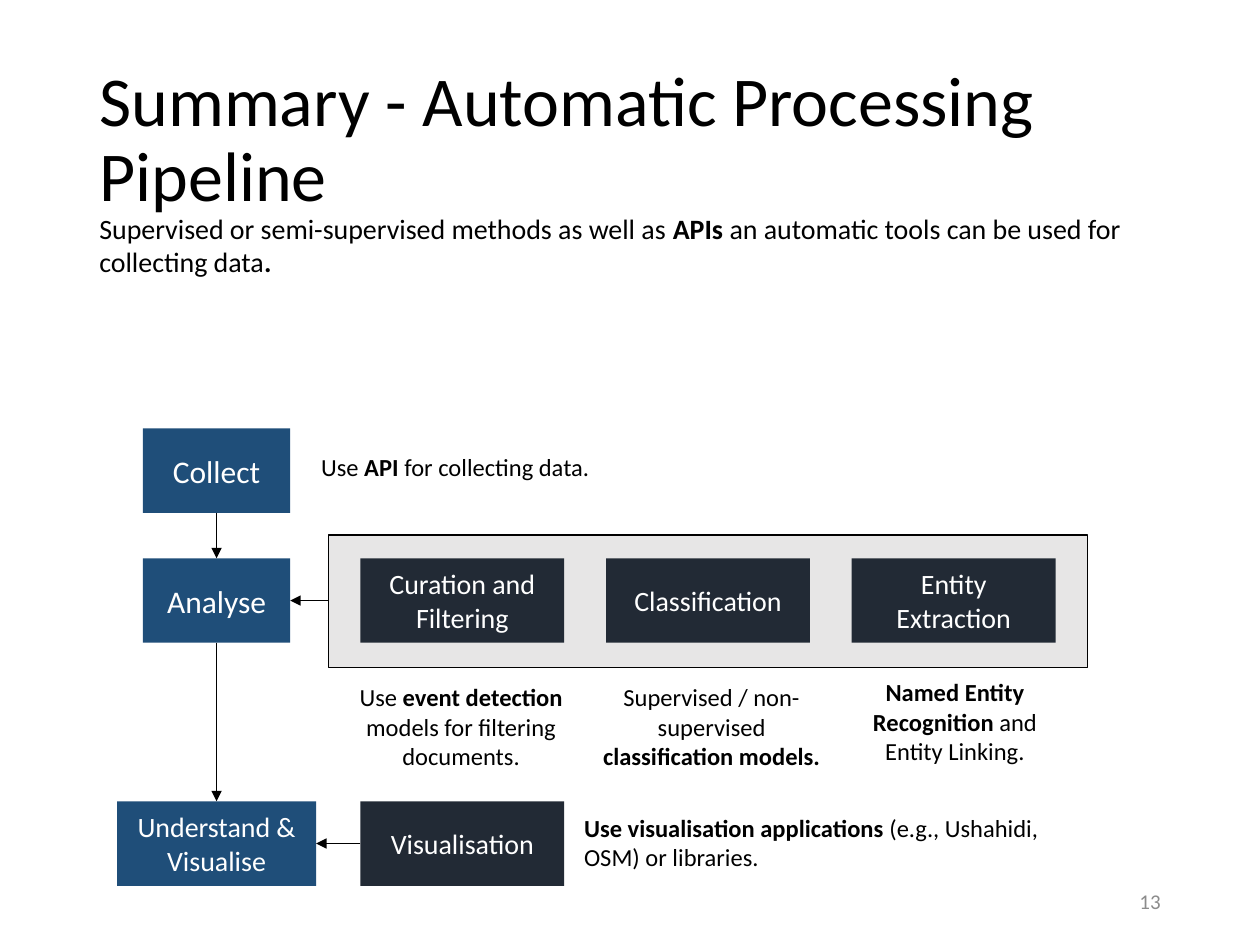
from dataclasses import dataclass

from lxml.etree import SubElement
from pptx import Presentation
from pptx.dml.color import RGBColor
from pptx.enum.shapes import MSO_CONNECTOR, MSO_SHAPE
from pptx.enum.text import MSO_ANCHOR, PP_ALIGN
from pptx.oxml.ns import qn
from pptx.util import Inches, Pt

COLOURS = {
    "text": "000000",
    "light": "FFFFFF",
    "number": "8C8C8C",
    "stage": "1F4E79",
    "tool": "222A35",
    "panel": "E7E6E6",
    "line": "000000",
}
BLOCK_COLS, BLOCK_ROWS = 0.83, 0.65


@dataclass
class Box:
    left: float
    top: float
    width: float
    height: float

    def cell(self, col, row, cols, rows, grid=(1, 1)):
        """Return the part of this box that covers cells of a grid."""
        across, down = self.width / grid[0], self.height / grid[1]
        return Box(self.left + col * across, self.top + row * down,
                   cols * across, rows * down)

    def lengths(self):
        return [Inches(value) for value in (self.left, self.top, self.width, self.height)]

    @property
    def middle(self):
        return self.left + self.width / 2, self.top + self.height / 2


def colour(name):
    return RGBColor.from_string(COLOURS[name])


def set_all(target, values):
    for name, value in values.items():
        setattr(target, name, value)


def write(shape, text, size, ink="text", align=PP_ALIGN.LEFT,
          anchor=MSO_ANCHOR.MIDDLE, spacing=1.0):
    """Fill a shape with one paragraph; ** switches bold on and off."""
    set_all(shape.text_frame, {"word_wrap": True, "vertical_anchor": anchor})
    para = shape.text_frame.paragraphs[0]
    set_all(para, {"alignment": align, "line_spacing": spacing})
    for index, part in enumerate(text.split("**")):
        if part:
            span = para.add_run()
            span.text = part
            set_all(span.font, {"name": "Calibri", "size": Pt(size), "bold": index % 2 == 1})
            span.font.color.rgb = colour(ink)


def add_text(page, box, text, size, **style):
    write(page.shapes.add_textbox(*box.lengths()), text, size, **style)


def add_block(page, box, fill, outlined=False):
    shape = page.shapes.add_shape(MSO_SHAPE.RECTANGLE, *box.lengths())
    shape.shadow.inherit = False
    shape.fill.solid()
    shape.fill.fore_color.rgb = colour(fill)
    if outlined:
        shape.line.color.rgb = colour("line")
        shape.line.width = Pt(1)
    else:
        shape.line.fill.background()
    return shape


def add_arrow(page, start, end):
    arrow = page.shapes.add_connector(
        MSO_CONNECTOR.STRAIGHT, *[Inches(value) for value in (*start, *end)])
    arrow.line.color.rgb = colour("line")
    arrow.line.width = Pt(1)
    SubElement(arrow.line._get_or_add_ln(), qn("a:tailEnd"), type="triangle")
    SubElement(arrow._element.spPr, qn("a:effectLst"))


def arrow_down(page, upper, lower):
    across = upper.middle[0]
    add_arrow(page, (across, upper.top + upper.height), (across, lower.top))


def arrow_left(page, source, target):
    down = target.middle[1]
    add_arrow(page, (source.left, down), (target.left + target.width, down))


def add_heading(page, box):
    add_text(page, box.cell(0, 0, 1, 0.54),
             "Summary - Automatic Processing Pipeline", 40, spacing=0.9)
    add_text(page, box.cell(0, 0.46, 0.97, 0.54),
             "Supervised or semi-supervised methods as well as **APIs** an automatic "
             "tools can be used for collecting data**.**", 16, anchor=MSO_ANCHOR.TOP)


def add_pipeline(page, box):
    """Stages run down the first column; their tools and notes stand to the right."""
    grid = (4, 3.52)
    panel = box.cell(0.87, 0.82, 3.09, 1.02, grid)
    add_block(page, panel, "panel", outlined=True)

    stages = []
    for text, row, cols, size in [
        ("Collect", 0, 0.6, 18),
        ("Analyse", 1, 0.6, 18),
        ("Understand & Visualise", 2.87, 0.81, 16),
    ]:
        stage = box.cell((BLOCK_COLS - cols) / 2, row, cols, BLOCK_ROWS, grid)
        write(add_block(page, stage, "stage"), text, size, "light", PP_ALIGN.CENTER)
        stages.append(stage)

    tools = []
    for text, col, row in [
        ("Curation and Filtering", 1, 1),
        ("Classification", 2, 1),
        ("Entity Extraction", 3, 1),
        ("Visualisation", 1, 2.87),
    ]:
        tool = box.cell(col, row, BLOCK_COLS, BLOCK_ROWS, grid)
        write(add_block(page, tool, "tool"), text, 16, "light", PP_ALIGN.CENTER)
        tools.append(tool)

    collect, analyse, understand = stages
    arrow_down(page, collect, analyse)
    arrow_down(page, analyse, understand)
    arrow_left(page, panel, analyse)
    arrow_left(page, tools[-1], understand)

    left, center = PP_ALIGN.LEFT, PP_ALIGN.CENTER
    for text, col, row, cols, align in [
        ("Use** API **for collecting data.", 0.79, -0.03, 1.67, left),
        ("Use **event detection **models for filtering documents.", 0.91, 1.97, 1, center),
        ("Supervised / non-supervised **classification models.**", 1.92, 1.97, 1.02, center),
        ("**Named Entity Recognition **and Entity Linking.", 2.91, 1.93, 1.02, center),
        ("**Use visualisation applications **(e.g., Ushahidi, OSM) or libraries.",
         1.86, 2.86, 1.96, left),
    ]:
        add_text(page, box.cell(col, row, cols, BLOCK_ROWS, grid), text, 14, align=align)


def add_page_number(page, box):
    add_text(page, box, "13", 12, ink="number", align=PP_ALIGN.RIGHT)


def main():
    deck = Presentation()
    set_all(deck, {"slide_width": Inches(10), "slide_height": Inches(7.5)})
    page = deck.slides.add_slide(deck.slide_layouts[6])
    add_heading(page, Box(0.69, 0.4, 8.62, 2.67))
    add_pipeline(page, Box(0.91, 3.4, 7.8, 3.63))
    add_page_number(page, Box(7.06, 6.95, 2.25, 0.4))
    deck.save("out.pptx")


if __name__ == "__main__":
    main()
